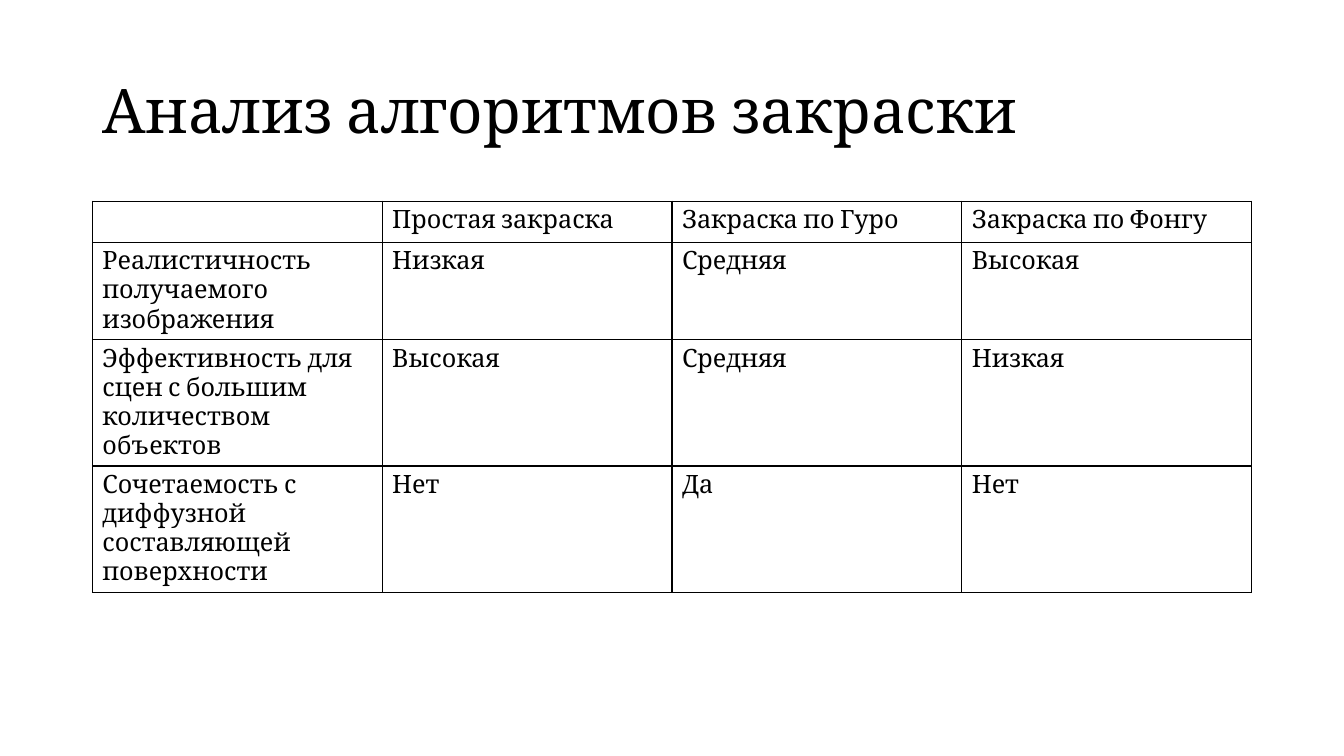
import pptx
import pptx.util
import pptx.dml.color
import pptx.enum.text
import pptx.oxml
import pptx.oxml.ns

Pt = pptx.util.Pt
COLORS = {"text": "000000", "border": "000000"}
FONT = "Cambria"
ROWS = [
    ["", "Простая закраска", "Закраска по Гуро", "Закраска по Фонгу"],
    ["Реалистичность получаемого изображения", "Низкая", "Средняя", "Высокая"],
    ["Эффективность для сцен с большим количеством объектов",
     "Высокая", "Средняя", "Низкая"],
    ["Сочетаемость с диффузной составляющей поверхности", "Нет", "Да", "Нет"],
]
ROW_HEIGHTS = [29.2, 69.5, 90.2, 90.2]


def write_text(tf, text, size, color="text", spacing=None):
    p = tf.paragraphs[0]
    p.font.size = Pt(size)
    if spacing:
        p.line_spacing = spacing
    if text:
        r = p.add_run()
        r.text = text
        r.font.name = FONT
        r.font.size = Pt(size)
        r.font.color.rgb = pptx.dml.color.RGBColor.from_string(COLORS[color])


def set_borders(cell, color="border", width=1):
    tc_pr = cell._tc.get_or_add_tcPr()
    # Border lines come before the cell fill
    for i, side in enumerate(("lnL", "lnR", "lnT", "lnB")):
        ln = pptx.oxml.parse_xml(
            f'<a:{side} {pptx.oxml.ns.nsdecls("a")} w="{Pt(width)}">'
            f'<a:solidFill><a:srgbClr val="{COLORS[color]}"/></a:solidFill>'
            f'</a:{side}>')
        tc_pr.insert(i, ln)


def add_title(slide, text, left, top, width, height):
    sp = slide.shapes.title
    sp.left, sp.top, sp.width, sp.height = map(Pt, (left, top, width, height))
    tf = sp.text_frame
    tf.word_wrap = True
    tf.vertical_anchor = pptx.enum.text.MSO_ANCHOR.MIDDLE
    write_text(tf, text, 44, spacing=0.9)
    tf.paragraphs[0].alignment = pptx.enum.text.PP_ALIGN.LEFT


def add_comparison(slide, rows, left, top, width):
    frame = slide.shapes.add_table(len(rows), len(rows[0]), Pt(left), Pt(top),
                                   Pt(width), Pt(sum(ROW_HEIGHTS)))
    table = frame.table
    table.first_row = table.horz_banding = False
    for column in table.columns:
        column.width = Pt(width / len(rows[0]))
    for i, (texts, height) in enumerate(zip(rows, ROW_HEIGHTS)):
        table.rows[i].height = Pt(height)
        for j, text in enumerate(texts):
            cell = table.cell(i, j)
            cell.fill.background()
            set_borders(cell)
            write_text(cell.text_frame, text, 18)


def main():
    prs = pptx.Presentation()
    prs.slide_width, prs.slide_height = Pt(960), Pt(540)
    slide = prs.slides.add_slide(prs.slide_layouts[5])
    # Heading
    add_title(slide, "Анализ алгоритмов закраски", 66, 28.75, 828, 104.4)
    # Comparison of shading algorithms
    add_comparison(slide, ROWS, 66, 143.75, 828)
    prs.save("out.pptx")


if __name__ == "__main__":
    main()
